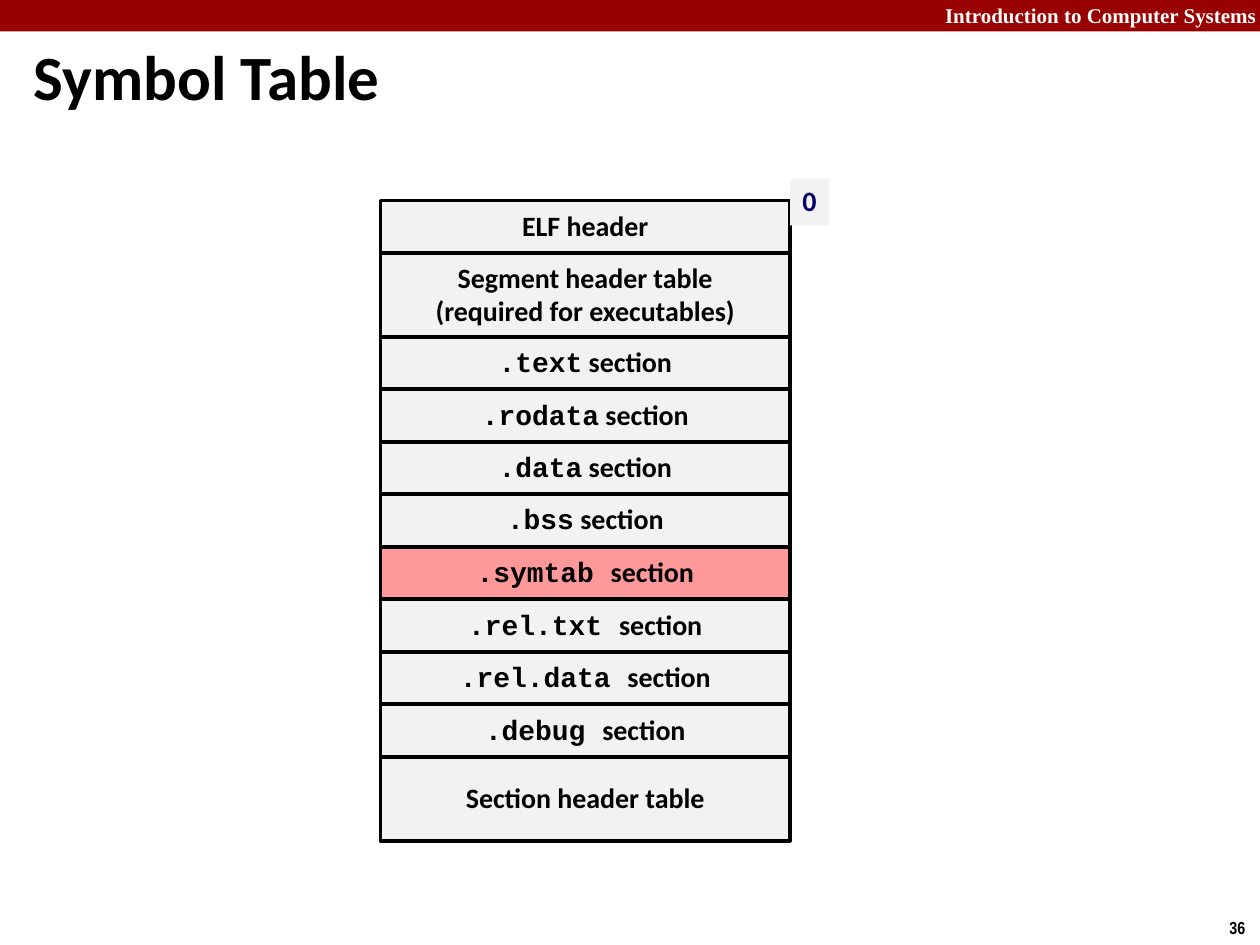
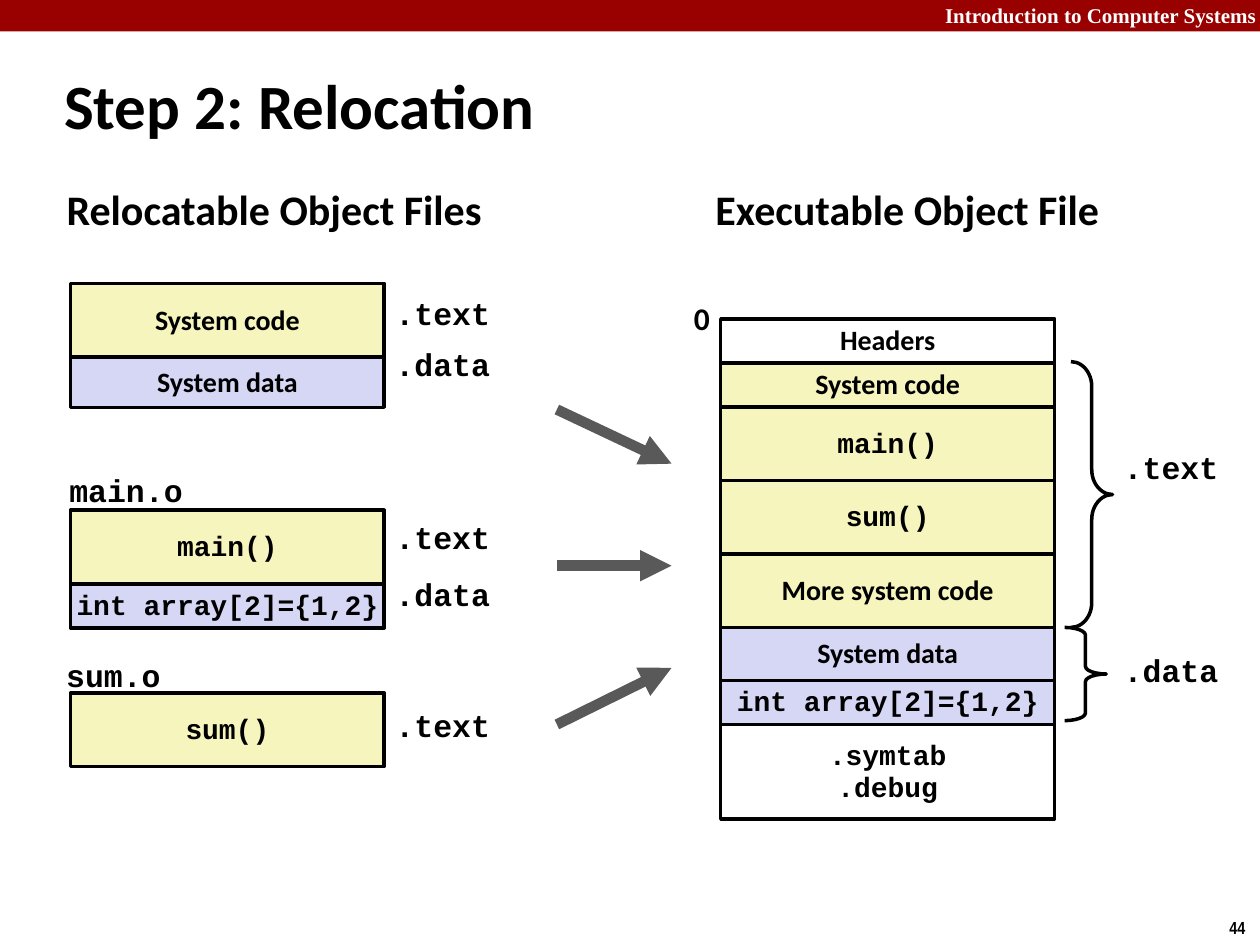
from dataclasses import dataclass

from lxml import etree
from pptx import Presentation
from pptx.dml.color import RGBColor
from pptx.enum.shapes import MSO_CONNECTOR, MSO_SHAPE
from pptx.enum.text import MSO_ANCHOR, PP_ALIGN
from pptx.oxml.ns import qn
from pptx.util import Inches, Pt

RECTANGLE = MSO_SHAPE.RECTANGLE
RIGHT_BRACE = MSO_SHAPE.RIGHT_BRACE
STRAIGHT = MSO_CONNECTOR.STRAIGHT
LEFT, CENTER, RIGHT = PP_ALIGN.LEFT, PP_ALIGN.CENTER, PP_ALIGN.RIGHT
TOP, MIDDLE = MSO_ANCHOR.TOP, MSO_ANCHOR.MIDDLE


@dataclass(frozen=True)
class Theme:
    band: str = "990000"
    white: str = "FFFFFF"
    ink: str = "000000"
    section: str = "F2F2F2"
    highlight: str = "FF9999"
    offset: str = "000066"
    code: str = "F6F5BD"
    data: str = "D6D6F5"
    arrow: str = "595959"
    sans: str = "Calibri"
    mono: str = "Courier New"
    serif: str = "Times New Roman"
    narrow: str = "Arial Narrow"
    title_size: int = 36
    heading_size: int = 24
    label_size: int = 18
    box_size: int = 16
    header_size: int = 12
    number_size: int = 10
    outline: int = 2
    arrow_width: int = 6
    sans_spacing: float = 0.98
    mono_spacing: float = 0.94


THEME = Theme()
COURSE = "Introduction to Computer Systems"


def sans(text):
    return [(text, THEME.sans)]


def mono(text):
    return [(text, THEME.mono)]


ELF_LEFT, ELF_TOP, ELF_WIDTH = 3.02, 1.59, 3.25
ROW_HEIGHT, TALL_ROW_HEIGHT = 5 / 12, 2 / 3
ELF_SECTIONS = [
    (".text", " section"),
    (".rodata", " section"),
    (".data", " section"),
    (".bss", " section"),
    (".symtab ", "section"),
    (".rel.txt ", "section"),
    (".rel.data ", "section"),
    (".debug ", "section"),
]
HIGHLIGHTED_SECTION = ".symtab "
ELF_ROWS = [
    ([sans("ELF header")], ROW_HEIGHT, THEME.section),
    ([sans("Segment header table"), sans("(required for executables)")],
     TALL_ROW_HEIGHT, THEME.section),
    *[([mono(name) + sans(word)], ROW_HEIGHT,
       THEME.highlight if name == HIGHLIGHTED_SECTION else THEME.section)
      for name, word in ELF_SECTIONS],
    ([sans("Section header table")], TALL_ROW_HEIGHT, THEME.section),
]

FUNCTION_HEIGHT, ARRAY_HEIGHT = 7 / 12, 0.35
ARRAY_ROW = ([mono("int array[2]={1,2}")], ARRAY_HEIGHT, THEME.data)
MAIN_ROW = ([mono("main()")], FUNCTION_HEIGHT, THEME.code)
SUM_ROW = ([mono("sum()")], FUNCTION_HEIGHT, THEME.code)

OBJECT_LEFT, OBJECT_WIDTH = 0.56, 2.49
OBJECT_FILES = [
    (2.25, [([sans("System code")], FUNCTION_HEIGHT, THEME.code),
            ([sans("System data")], 0.4, THEME.data)]),
    (4.05, [MAIN_ROW, ARRAY_ROW]),
    (5.5, [SUM_ROW]),
]

EXECUTABLE_LEFT, EXECUTABLE_TOP, EXECUTABLE_WIDTH = 5.72, 2.53, 2.65
EXECUTABLE_ROWS = [
    ([sans("Headers")], 0.35, THEME.white),
    ([sans("System code")], 0.35, THEME.code),
    MAIN_ROW,
    SUM_ROW,
    ([sans("More system code")], FUNCTION_HEIGHT, THEME.code),
    ([sans("System data")], 0.42, THEME.data),
    ARRAY_ROW,
    ([mono(".symtab"), mono(".debug")], 0.75, THEME.white),
]

HEADINGS = [
    ("Relocatable Object Files", 0.43, 3.53),
    ("Executable Object File", 5.58, 3.28),
]
FILE_NAMES = [("main.o", 0.45, 3.71, 1.1), ("sum.o", 0.42, 5.18, 0.96)]
SECTION_LABEL_WIDTH, LABEL_HEIGHT = 0.95, 0.39
SECTION_LABELS = [
    (3.04, [(".text", 2.31), (".data", 2.71), (".text", 4.09),
            (".data", 4.54), (".text", 5.58)]),
    (8.82, [(".text", 3.53), (".data", 5.14)]),
]
BRACES = [
    ((8.5, 2.87, 0.33, 2.11), 0.598),
    ((8.45, 4.98, 0.33, 0.74), 0.185),
]
ARROW_START, ARROW_END = 4.42, 5.33
ARROW_HEIGHTS = [(3.25, 3.68), (4.49, 4.49), (5.75, 5.3)]


def rgb(color):
    return RGBColor.from_string(color)


def write(shape, paragraphs, size, color=THEME.ink, align=LEFT, anchor=TOP,
          wrap=False, tight=True):
    frame = shape.text_frame
    frame.word_wrap = wrap
    frame.vertical_anchor = anchor
    for index, runs in enumerate(paragraphs):
        paragraph = frame.add_paragraph() if index else frame.paragraphs[0]
        paragraph.alignment = align
        if tight:
            has_code = any(font == THEME.mono for _, font in runs)
            paragraph.line_spacing = (
                THEME.mono_spacing if has_code else THEME.sans_spacing)
        for text, font in runs:
            run = paragraph.add_run()
            run.text = text
            run.font.name = font
            run.font.size = Pt(size)
            run.font.bold = True
            run.font.color.rgb = rgb(color)


def add_text(slide, bounds, paragraphs, size, **style):
    shape = slide.shapes.add_textbox(*map(Inches, bounds))
    write(shape, paragraphs, size, **style)


def add_box(slide, bounds, fill=None, outlined=True, preset=RECTANGLE):
    shape = slide.shapes.add_shape(preset, *map(Inches, bounds))
    shape.shadow.inherit = False
    if fill:
        shape.fill.solid()
        shape.fill.fore_color.rgb = rgb(fill)
    else:
        shape.fill.background()
    if outlined:
        shape.line.color.rgb = rgb(THEME.ink)
        shape.line.width = Pt(THEME.outline)
    else:
        shape.line.fill.background()
    return shape


def add_stack(slide, left, top, width, rows):
    for paragraphs, height, fill in rows:
        box = add_box(slide, (left, top, width, height), fill)
        write(box, paragraphs, THEME.box_size, align=CENTER, anchor=MIDDLE)
        top += height


def add_arrow(slide, start_y, end_y):
    arrow = slide.shapes.add_connector(
        STRAIGHT, *map(Inches, (ARROW_START, start_y, ARROW_END, end_y)))
    arrow.line.color.rgb = rgb(THEME.arrow)
    arrow.line.width = Pt(THEME.arrow_width)
    properties = arrow.element.spPr
    etree.SubElement(properties.find(qn("a:ln")), qn("a:tailEnd"), type="triangle")
    etree.SubElement(properties, qn("a:effectLst"))


def add_slide(presentation, title, title_bounds, number):
    slide = presentation.slides.add_slide(presentation.slide_layouts[6])
    add_box(slide, (0, 0, 10, 0.25), THEME.band, outlined=False)
    add_text(slide, (6, -0.03, 4.07, 0.3), [[(COURSE, THEME.serif)]],
             THEME.header_size, color=THEME.white, align=RIGHT, wrap=True, tight=False)
    add_text(slide, (9.66, 7.23, 0.34, 0.27), [[(number, THEME.narrow)]],
             THEME.number_size, tight=False)
    add_text(slide, title_bounds, [sans(title)], THEME.title_size,
             anchor=MIDDLE, wrap=True, tight=False)
    return slide


def build_symbol_table(presentation):
    slide = add_slide(presentation, "Symbol Table", (0.17, 0.17, 9.53, 0.86), "36")
    add_stack(slide, ELF_LEFT, ELF_TOP, ELF_WIDTH, ELF_ROWS)
    offset = add_box(slide, (ELF_LEFT + ELF_WIDTH, 1.42, 0.31, 0.37),
                     THEME.section, outlined=False)
    write(offset, [sans("0")], THEME.box_size, color=THEME.offset)


def build_relocation(presentation):
    slide = add_slide(presentation, "Step 2: Relocation", (0.41, 0.51, 8.31, 0.63), "44")
    for text, left, width in HEADINGS:
        add_text(slide, (left, 1.43, width, 0.5), [sans(text)], THEME.heading_size)
    for top, rows in OBJECT_FILES:
        add_stack(slide, OBJECT_LEFT, top, OBJECT_WIDTH, rows)
    add_stack(slide, EXECUTABLE_LEFT, EXECUTABLE_TOP, EXECUTABLE_WIDTH, EXECUTABLE_ROWS)
    add_text(slide, (5.41, 2.34, 0.34, 0.4), [sans("0")], THEME.label_size)
    for name, left, top, width in FILE_NAMES:
        add_text(slide, (left, top, width, LABEL_HEIGHT), [mono(name)],
                 THEME.label_size, align=CENTER)
    for left, labels in SECTION_LABELS:
        for name, top in labels:
            add_text(slide, (left, top, SECTION_LABEL_WIDTH, LABEL_HEIGHT),
                     [mono(name)], THEME.label_size)
    for bounds, curve in BRACES:
        brace = add_box(slide, bounds, preset=RIGHT_BRACE)
        brace.adjustments[0] = curve
        brace.adjustments[1] = 0.5
    for start_y, end_y in ARROW_HEIGHTS:
        add_arrow(slide, start_y, end_y)


def main():
    presentation = Presentation()
    presentation.slide_width = Inches(10)
    presentation.slide_height = Inches(7.5)
    build_symbol_table(presentation)
    build_relocation(presentation)
    presentation.save("out.pptx")


if __name__ == "__main__":
    main()
